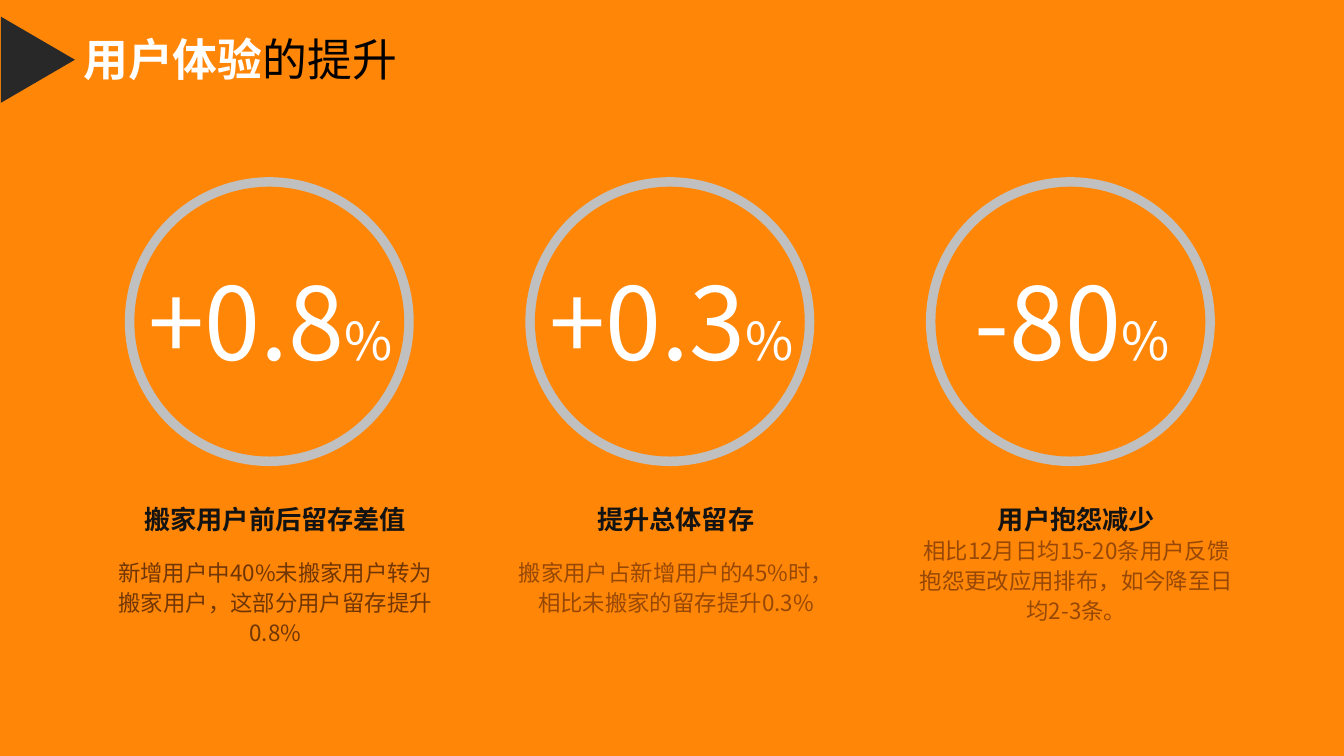
from pptx import Presentation
from pptx.dml.color import RGBColor
from pptx.enum.shapes import MSO_SHAPE as SHAPE
from pptx.enum.text import MSO_ANCHOR as ANCHOR, MSO_AUTO_SIZE as AUTO, PP_ALIGN as ALIGN
from pptx.oxml.ns import qn
from pptx.util import Cm, Pt
from lxml import etree

FONT = "Noto Sans CJK SC"
ORANGE = RGBColor(0xFF, 0x86, 0x07)
DARK = RGBColor(0x28, 0x28, 0x28)
GREY = RGBColor(0xC0, 0xC0, 0xC0)
WHITE = RGBColor(0xFF, 0xFF, 0xFF)
BLACK = RGBColor(0x00, 0x00, 0x00)
HEADING = RGBColor(0x13, 0x13, 0x13)
DEEP_BROWN = RGBColor(0x71, 0x36, 0x05)
BROWN = RGBColor(0x97, 0x48, 0x06)

FIRST_LEFT, PITCH = 2.36, 7.57
RING_TOP, RING_SIZE, RING_WIDTH = 3.35, 5.46, 0.18

# figure, figure width, heading, description, its top, height and colour
METRICS = [
    ("+0.8", 5.49, "搬家用户前后留存差值",
     "新增用户中40%未搬家用户转为搬家用户，这部分用户留存提升0.8%", 10.39, 1.96, DEEP_BROWN),
    ("+0.3", 5.49, "提升总体留存",
     "搬家用户占新增用户的45%时，相比未搬家的留存提升0.3%", 10.39, 1.4, BROWN),
    ("-80", 4.45, "用户抱怨减少",
     "相比12月日均15-20条用户反馈抱怨更改应用排布，如今降至日均2-3条。", 9.98, 1.96, BROWN),
]


def add_run(p, text, size, color, bold=False):
    """Append a formatted run, with the font set for Latin and East Asian text."""
    r = p.add_run()
    r.text = text
    r.font.name = FONT
    r.font.size = Pt(size)
    r.font.bold = bold
    r.font.color.rgb = color
    ea = etree.SubElement(r.font._element, qn("a:ea"))
    ea.set("typeface", FONT)


def add_plain_shape(slide, kind, left, top, width, height, color):
    """Add a flat shape without outline or shadow; lengths in cm."""
    sp = slide.shapes.add_shape(kind, Cm(left), Cm(top), Cm(width), Cm(height))
    sp.shadow.inherit = False
    sp.fill.solid()
    sp.fill.fore_color.rgb = color
    sp.line.fill.background()
    return sp


def add_centred_text(slide, left, top, width, height, wrap=True):
    """Add a text box and return its centred first paragraph."""
    sp = slide.shapes.add_textbox(Cm(left), Cm(top), Cm(width), Cm(height))
    tf = sp.text_frame
    tf.word_wrap = wrap
    p = tf.paragraphs[0]
    p.alignment = ALIGN.CENTER
    return p


def add_title(slide):
    """Fill the title placeholder and place the arrow at its left."""
    arrow = add_plain_shape(slide, SHAPE.ISOSCELES_TRIANGLE, -0.1, 0.43, 1.63, 1.4, DARK)
    arrow.rotation = 90
    title = slide.shapes.title
    title.left, title.top, title.width, title.height = Cm(1.32), Cm(0.48), Cm(7.85), Cm(1.27)
    tf = title.text_frame
    tf.word_wrap = False
    tf.auto_size = AUTO.NONE
    tf.vertical_anchor = ANCHOR.TOP
    p = tf.paragraphs[0]
    p.alignment = ALIGN.LEFT
    add_run(p, "用户体验", 24, WHITE, bold=True)
    add_run(p, "的提升", 24, BLACK)


def add_ring(slide, left):
    """Draw a ring from two concentric circles."""
    for inset, color in ((0, GREY), (RING_WIDTH, ORANGE)):
        size = RING_SIZE - 2 * inset
        add_plain_shape(slide, SHAPE.OVAL, left + inset, RING_TOP + inset, size, size, color)


def add_metric(slide, left, figure, figure_width, heading, text, text_top, text_height, color):
    """Add one column: ring, figure, heading and description."""
    add_ring(slide, left)
    figure_left = left + (RING_SIZE - figure_width) / 2 + 0.03
    p = add_centred_text(slide, figure_left, 4.78, figure_width, 2.57, wrap=False)
    add_run(p, figure, 54, WHITE)
    add_run(p, "%", 28, WHITE)
    text_left, text_width = left - 0.38, 6.45
    p = add_centred_text(slide, text_left, 9.4, text_width, 0.86)
    add_run(p, heading, 14, HEADING, bold=True)
    p = add_centred_text(slide, text_left, text_top, text_width, text_height)
    p.line_spacing = Pt(16)
    add_run(p, text, 12, color)


def main():
    """Build the slide and save it."""
    prs = Presentation()
    prs.slide_width, prs.slide_height = Cm(25.4), Cm(14.29)
    slide = prs.slides.add_slide(prs.slide_layouts[5])
    slide.background.fill.solid()
    slide.background.fill.fore_color.rgb = ORANGE
    add_title(slide)
    for i, metric in enumerate(METRICS):
        add_metric(slide, FIRST_LEFT + i * PITCH, *metric)
    prs.save("out.pptx")


main()
